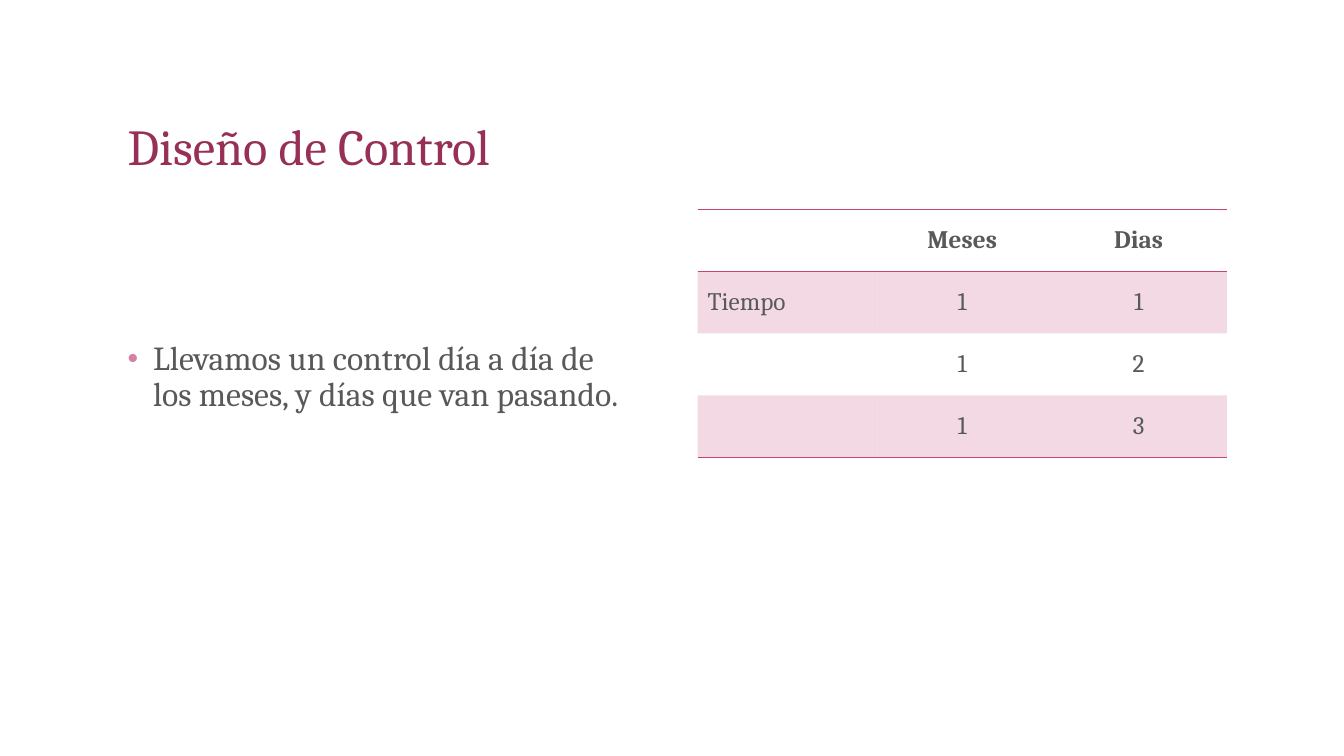
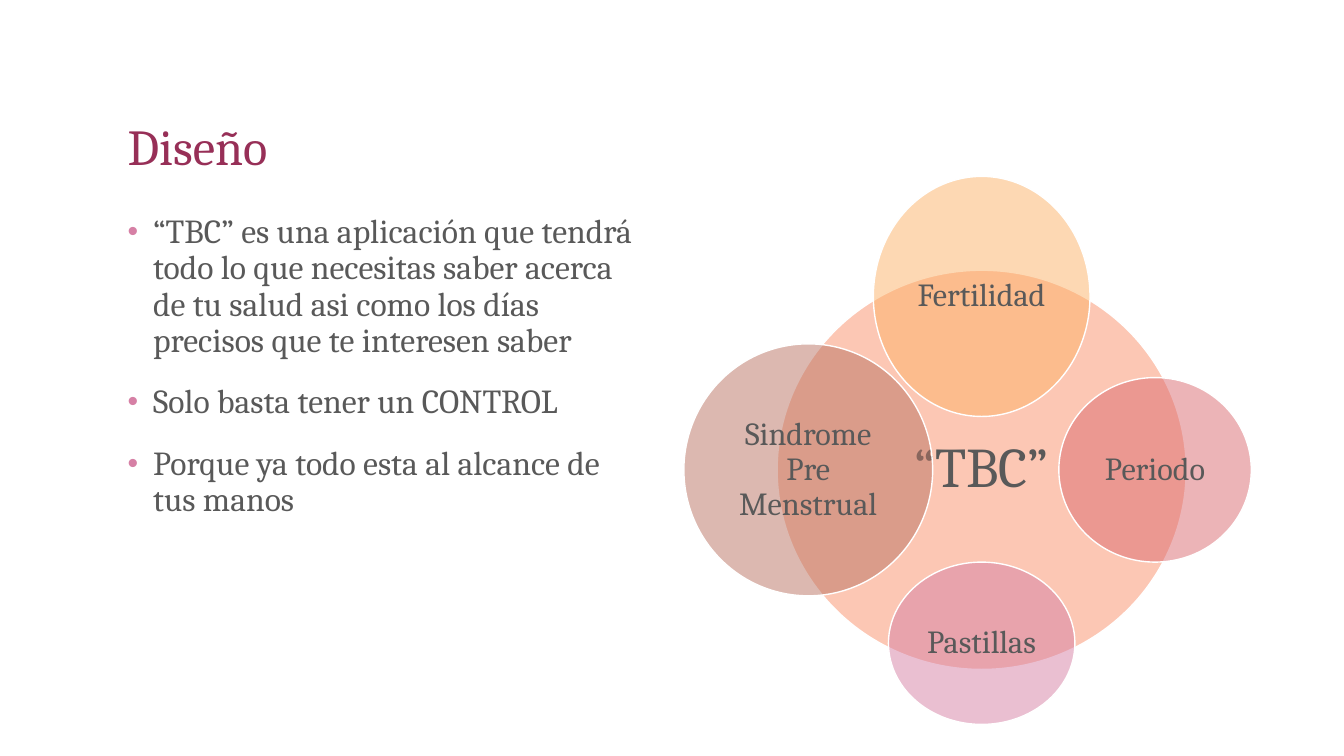
"""Builds two slides: a control table and a diagram of the topics of the app."""
from dataclasses import dataclass
from math import cos, radians, sin
from typing import Any

from lxml.etree import SubElement
from pptx import Presentation
from pptx.dml.color import RGBColor as Rgb
from pptx.dml.fill import FillFormat
from pptx.enum.shapes import MSO_SHAPE as Preset
from pptx.enum.text import MSO_ANCHOR as Anchor, PP_ALIGN as Align
from pptx.oxml.ns import qn
from pptx.slide import Slide
from pptx.table import _Cell as Cell
from pptx.text.text import TextFrame, _Paragraph as Paragraph
from pptx.util import Cm, Pt


@dataclass(frozen=True)
class Theme:
    font: str = "Cambria"
    title: Rgb = Rgb(0x97, 0x2F, 0x57)
    text: Rgb = Rgb(0x59, 0x59, 0x59)
    accent: Rgb = Rgb(0xC4, 0x44, 0x75)
    pink: Rgb = Rgb(0xD6, 0x80, 0xA5)
    salmon: Rgb = Rgb(0xFA, 0x90, 0x6A)
    orange: Rgb = Rgb(0xFC, 0xB2, 0x68)
    red: Rgb = Rgb(0xDB, 0x6B, 0x70)
    brown: Rgb = Rgb(0xBA, 0x73, 0x62)
    white: Rgb = Rgb(0xFF, 0xFF, 0xFF)
    title_size: float = 36
    body_size: float = 24
    table_size: float = 18
    core_size: float = 40
    topic_size: float = 23
    line_spacing: float = 0.9


@dataclass(frozen=True)
class Box:
    left: float
    top: float
    width: float
    height: float

    def lengths(self) -> tuple[Cm, ...]:
        return tuple(map(Cm, (self.left, self.top, self.width, self.height)))


@dataclass(frozen=True)
class Topic:
    label: str
    width: float
    height: float
    color: Rgb
    angle: float = 0
    orbit: float = 4.37
    size: float = 23
    inset: float = 0.08


THEME = Theme()
TITLE_BOX = Box(2.97, 1.27, 27.94, 3.3)
BODY_BOX = Box(2.97, 5.28, 13.34, 11.86)
TABLE_BOX = Box(17.58, 5.28, 13.34, 6.24)
HUB_X, HUB_Y = 24.74, 11.84
NO_STYLE = "{2D5ABB26-0587-4C30-8999-92F81FD0307C}"

CONTROL_ROWS = (
    ("", "Meses", "Dias"),
    ("Tiempo", "1", "1"),
    ("", "1", "2"),
    ("", "1", "3"),
)
CONTROL_POINTS = ("Llevamos un control día a día de los meses, y días que van pasando.",)
DESIGN_POINTS = (
    "“TBC” es una aplicación que tendrá todo lo que necesitas saber acerca de tu "
    "salud asi como los días precisos que te interesen saber",
    "Solo basta tener un CONTROL",
    "Porque ya todo esta al alcance de tus manos",
)
TOPICS = (
    Topic("“TBC”", 10.31, 10.06, THEME.salmon, orbit=0, size=THEME.core_size, inset=0.16),
    Topic("Fertilidad", 5.46, 6.05, THEME.orange, -90, size=THEME.topic_size),
    Topic("Periodo", 4.85, 4.65, THEME.red, 0, size=THEME.topic_size),
    Topic("Pastillas", 4.7, 4.09, THEME.pink, 90, size=THEME.topic_size),
    Topic("Sindrome Pre Menstrual", 6.27, 6.35, THEME.brown, 180, size=THEME.topic_size),
)


def apply(target: Any, **values: Any) -> None:
    for name, value in values.items():
        setattr(target, name, value)


def write(paragraph: Paragraph, text: str, size: float, color: Rgb = THEME.text,
          bold: bool = False, **layout: Any) -> None:
    run = paragraph.add_run()
    run.text = text
    apply(run.font, name=THEME.font, size=Pt(size), bold=bold)
    run.font.color.rgb = color
    apply(paragraph, **layout)


def tint(fill: FillFormat, color: Rgb, opacity: int) -> None:
    fill.solid()
    fill.fore_color.rgb = color
    shade = fill._xPr.find(f"{qn('a:solidFill')}/{qn('a:srgbClr')}")
    SubElement(shade, qn("a:alpha"), val=str(opacity * 1000))


def add_bullet(paragraph: Paragraph) -> None:
    props = paragraph._p.get_or_add_pPr()
    indent = Cm(0.64)
    props.set("marL", str(indent))
    props.set("indent", str(-indent))
    SubElement(SubElement(props, qn("a:buClr")), qn("a:srgbClr"), val=str(THEME.pink))
    SubElement(props, qn("a:buSzPct"), val="90000")
    SubElement(props, qn("a:buFont"), typeface="Arial")
    SubElement(props, qn("a:buChar"), char="•")


def add_frame(slide: Slide, box: Box, **layout: Any) -> TextFrame:
    frame = slide.shapes.add_textbox(*box.lengths()).text_frame
    apply(frame, word_wrap=True, **layout)
    return frame


def add_title(slide: Slide, title: str) -> None:
    frame = add_frame(slide, TITLE_BOX, vertical_anchor=Anchor.BOTTOM)
    write(frame.paragraphs[0], title, THEME.title_size, THEME.title,
          line_spacing=THEME.line_spacing)


def add_points(slide: Slide, points: tuple[str, ...], inset: float = 0.13) -> None:
    frame = add_frame(slide, BODY_BOX, margin_top=Cm(inset))
    for index, point in enumerate(points):
        paragraph = frame.add_paragraph() if index else frame.paragraphs[0]
        write(paragraph, point, THEME.body_size, line_spacing=THEME.line_spacing,
              space_before=Pt(18 if index else 0))
        add_bullet(paragraph)


def add_rules(cell: Cell, sides: tuple[str, ...]) -> None:
    props = cell._tc.get_or_add_tcPr()
    for position, side in enumerate(sides):
        rule = SubElement(props, qn(f"a:{side}"), w=str(Pt(1)))
        paint = SubElement(rule, qn("a:solidFill"))
        SubElement(paint, qn("a:srgbClr"), val=str(THEME.accent))
        props.insert(position, rule)


def add_control_table(slide: Slide) -> None:
    last = len(CONTROL_ROWS) - 1
    rules = {0: ("lnT", "lnB"), last: ("lnB",)}
    table = slide.shapes.add_table(
        len(CONTROL_ROWS), len(CONTROL_ROWS[0]), *TABLE_BOX.lengths()).table
    apply(table, first_row=False, horz_banding=False)
    table._tbl.tblPr.find(qn("a:tableStyleId")).text = NO_STYLE
    for row, values in enumerate(CONTROL_ROWS):
        for column, value in enumerate(values):
            cell = table.cell(row, column)
            cell.vertical_anchor = Anchor.MIDDLE
            if value:
                write(cell.text_frame.paragraphs[0], value, THEME.table_size, bold=row == 0,
                      alignment=Align.CENTER if column else Align.LEFT)
            if row % 2:
                tint(cell.fill, THEME.accent, 20)
            else:
                cell.fill.background()
            add_rules(cell, rules.get(row, ()))


def add_topics(slide: Slide) -> None:
    diagram = slide.shapes.add_group_shape()
    for topic in TOPICS:
        angle = radians(topic.angle)
        box = Box(HUB_X + topic.orbit * cos(angle) - topic.width / 2,
                  HUB_Y + topic.orbit * sin(angle) - topic.height / 2,
                  topic.width, topic.height)
        circle = diagram.shapes.add_shape(Preset.OVAL, *box.lengths())
        circle.shadow.inherit = False
        tint(circle.fill, topic.color, 50)
        circle.line.color.rgb = THEME.white
        circle.line.width = Pt(1)
        frame = circle.text_frame
        sides = ("left", "top", "right", "bottom")
        apply(frame, word_wrap=True, vertical_anchor=Anchor.MIDDLE,
              **{f"margin_{side}": Cm(topic.inset) for side in sides})
        write(frame.paragraphs[0], topic.label, topic.size,
              alignment=Align.CENTER, line_spacing=THEME.line_spacing)


def main() -> None:
    deck = Presentation()
    apply(deck, slide_width=Cm(33.87), slide_height=Cm(19.05))
    blank = deck.slide_layouts[6]

    control = deck.slides.add_slide(blank)
    add_title(control, "Diseño de Control")
    add_points(control, CONTROL_POINTS, inset=3.33)
    add_control_table(control)

    design = deck.slides.add_slide(blank)
    add_title(design, "Diseño")
    add_points(design, DESIGN_POINTS)
    add_topics(design)

    deck.save("out.pptx")


if __name__ == "__main__":
    main()
